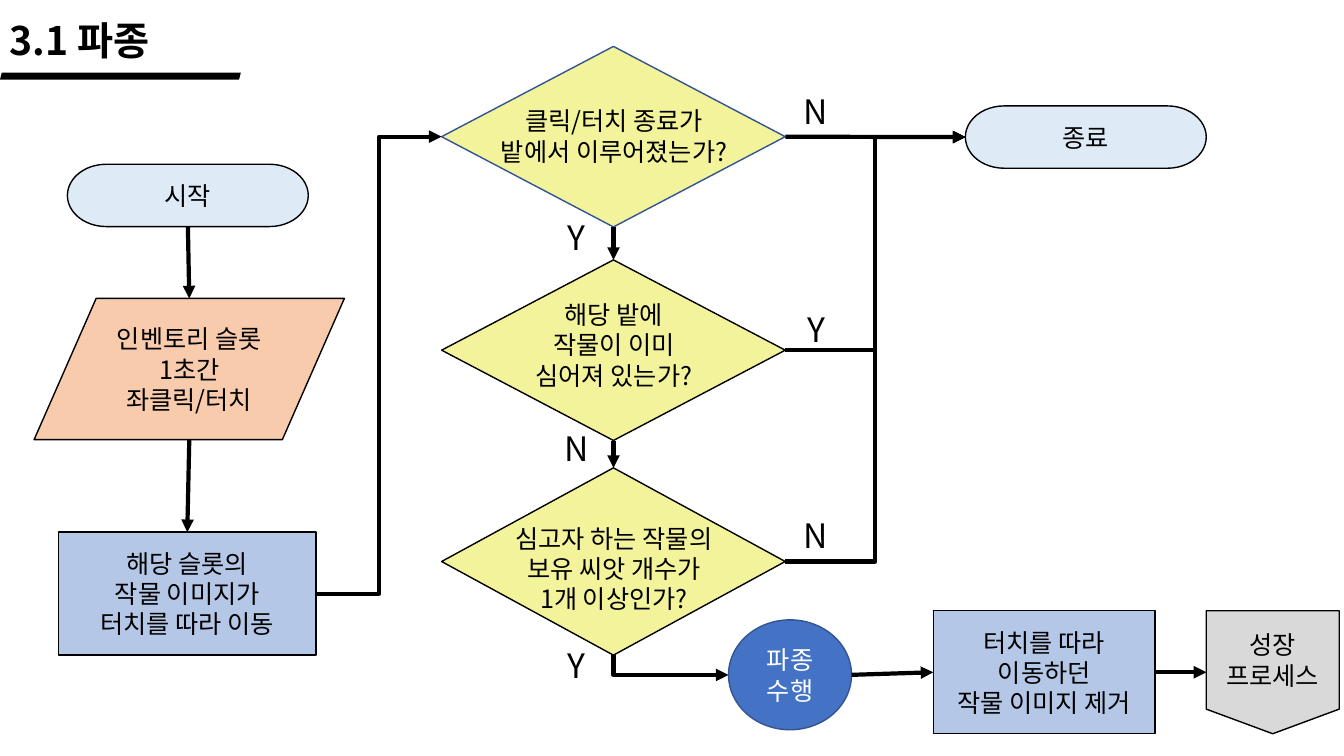
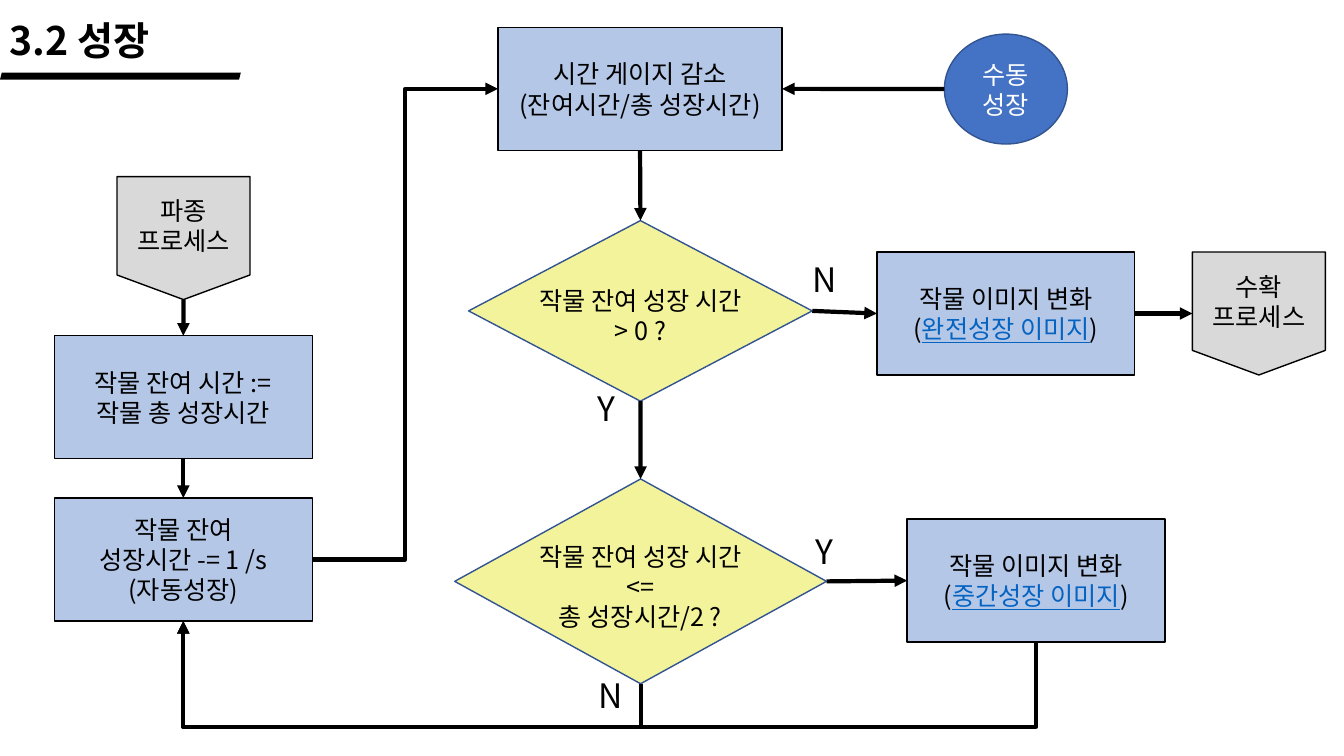
from lxml import etree
from pptx import Presentation
from pptx.dml.color import RGBColor
from pptx.enum.shapes import MSO_CONNECTOR as CXN, MSO_SHAPE as SHAPE
from pptx.enum.text import MSO_ANCHOR as ANCHOR, MSO_AUTO_SIZE as AUTO, PP_ALIGN as ALIGN
from pptx.oxml.ns import qn
from pptx.util import Cm, Pt

FONT = "Noto Sans CJK KR"
COLORS = {
    "black": "000000", "white": "FFFFFF", "navy": "325491", "blue": "4472C4",
    "process": "B4C7E7", "decision": "F3F39B", "terminal": "DEEBF7",
    "input": "F8CBAD", "page": "D9D9D9", "link": "0563C1",
}
# kind: preset, fill, line, text colour, width and height in cm
KINDS = {
    "terminal": (SHAPE.FLOWCHART_TERMINATOR, "terminal", "black", "black", 6.07, 1.57),
    "input": (SHAPE.FLOWCHART_DATA, "input", "black", "black", 7.82, 3.56),
    "process": (SHAPE.RECTANGLE, "process", "black", "black", 6.5, 3.1),
    "decision": (SHAPE.FLOWCHART_DECISION, "decision", "black", "black", 8.66, 4.55),
    "page": (SHAPE.FLOWCHART_OFFPAGE_CONNECTOR, "page", "black", "black", 3.35, 3.1),
    "event": (SHAPE.FLOWCHART_CONNECTOR, "blue", "navy", "white", 3.1, 2.77),
}
# connection site numbers on the top, left, bottom and right
SITES = {"input": (1, 2, 4, 5), "event": (0, 2, 4, 6)}
SIDES = "tlbr"
TITLE = {"size": Pt(28), "bold": True}
BODY = {"size": Pt(18)}
BRANCH = {"size": Pt(24)}
BRANCH_WIDTHS = {"N": 1.17, "Y": 0.99}
LOOP_FLOOR = 18.31

# nodes: name: (kind, left, top, text, changed values)
# captions: (left, top, width, height, text)
# branches: (letter, left, top)
# arrows: (route, from, side, to, side)
SLIDES = [
    {
        "title": "3.1 파종",
        "nodes": {
            "start": ("terminal", 1.7, 4.14, "시작", {}),
            "touch": ("input", 0.86, 7.52, "인벤토리 슬롯\n1초간\n좌클릭/터치", {}),
            "follow": ("process", 1.47, 13.41, "해당 슬롯의\n작물 이미지가\n터치를 따라 이동", {}),
            "in_field": ("decision", 11.13, 1.17, "", {"line": "navy"}),
            "planted": ("decision", 11.13, 6.55, "", {}),
            "has_seed": ("decision", 11.13, 11.79, "", {"height": 4.72}),
            "end": ("terminal", 24.33, 2.67, "종료", {}),
            "sow": ("event", 18.36, 15.62, "파종수행", {}),
            "remove": ("process", 23.52, 15.39, "터치를 따라\n이동하던\n작물 이미지 제거",
                       {"width": 5.59}),
            "growth": ("page", 30.4, 15.39, "성장\n프로세스", {}),
        },
        "captions": [
            (12.07, 2.54, 6.81, 1.8, "클릭/터치 종료가\n밭에서 이루어졌는가?"),
            (13.03, 7.42, 4.88, 2.57, "해당 밭에\n작물이 이미\n심어져 있는가?"),
            (12.42, 13.06, 6.1, 2.57, "심고자 하는 작물의\n보유 씨앗 개수가\n1개 이상인가?"),
        ],
        "branches": [
            ("N", 19.99, 2.16), ("Y", 20.09, 7.67), ("N", 19.99, 12.85),
            ("Y", 14.05, 5.33), ("N", 13.97, 10.67), ("Y", 14.05, 16.13),
        ],
        "arrows": [
            ("straight", "start", "b", "touch", "t"),
            ("straight", "touch", "b", "follow", "t"),
            ("elbow", "follow", "r", "in_field", "l"),
            ("straight", "in_field", "b", "planted", "t"),
            ("straight", "planted", "b", "has_seed", "t"),
            ("straight", "in_field", "r", "end", "l"),
            ("elbow", "planted", "r", "end", "l"),
            ("elbow", "has_seed", "r", "end", "l"),
            ("corner", "has_seed", "b", "sow", "l"),
            ("straight", "sow", "r", "remove", "l"),
            ("straight", "remove", "r", "growth", "l"),
        ],
    },
    {
        "title": "3.2 성장",
        "nodes": {
            "sowing": ("page", 2.95, 4.45, "파종\n프로세스", {}),
            "set_time": ("process", 1.37, 8.46, "작물 잔여 시간 :=\n작물 총 성장시간", {}),
            "tick": ("process", 1.37, 12.55, "작물 잔여\n성장시간 -= 1 /s\n(자동성장)", {}),
            "gauge": ("process", 12.55, 0.69, "시간 게이지 감소\n(잔여시간/총 성장시간)",
                      {"width": 7.16}),
            "manual": ("event", 23.8, 0.86, "수동성장", {}),
            "time_left": ("decision", 11.81, 5.56, "", {"line": "navy"}),
            "half_time": ("decision", 11.46, 12.07, "",
                          {"line": "navy", "width": 9.37, "height": 5.16}),
            "full_image": ("process", 22.1, 6.35, "작물 이미지 변화\n(|완전성장 이미지|)", {}),
            "half_image": ("process", 22.86, 13.08, "작물 이미지 변화\n(|중간성장 이미지|)", {}),
            "harvest": ("page", 30.05, 6.35, "수확\n프로세스", {}),
        },
        "captions": [
            (12.98, 7.06, 6.32, 1.8, "작물 잔여 성장 시간\n> 0 ?"),
            (12.98, 13.51, 6.32, 2.57, "작물 잔여 성장 시간\n<=\n총 성장시간/2 ?"),
        ],
        "branches": [
            ("N", 20.22, 6.4), ("Y", 14.81, 9.65), ("Y", 20.29, 13.26), ("N", 14.83, 16.87),
        ],
        "arrows": [
            ("straight", "sowing", "b", "set_time", "t"),
            ("straight", "set_time", "b", "tick", "t"),
            ("elbow", "tick", "r", "gauge", "l"),
            ("straight", "manual", "l", "gauge", "r"),
            ("straight", "gauge", "b", "time_left", "t"),
            ("straight", "time_left", "r", "full_image", "l"),
            ("straight", "full_image", "r", "harvest", "l"),
            ("straight", "time_left", "b", "half_time", "t"),
            ("straight", "half_time", "r", "half_image", "l"),
            ("loop", "half_image", "b", "tick", "b"),
            ("loop", "half_time", "b", "tick", "b"),
        ],
    },
]


def write(sp, text, fmt, color="black", align=ALIGN.CENTER):
    """Fill sp with one paragraph a line; text between bars looks like a link."""
    tf = sp.text_frame
    for i, line in enumerate(text.split("\n")):
        p = tf.paragraphs[0] if i == 0 else tf.add_paragraph()
        p.alignment = align
        for j, part in enumerate(line.split("|")):
            r = p.add_run()
            r.text = part
            r.font.name = FONT
            for key, value in fmt.items():
                setattr(r.font, key, value)
            is_link = j % 2 == 1
            r.font.color.rgb = RGBColor.from_string(COLORS["link" if is_link else color])
            if is_link:
                r.font.underline = True
            latin = r.font._element.find(qn("a:latin"))
            latin.addnext(etree.Element(qn("a:ea"), typeface=FONT))


def connect(s, route, start, end):
    """Draw an arrow between two (shape, kind, side) ends and glue it to both."""
    points = []
    for sp, _, side in (start, end):
        fx, fy = {"t": (0.5, 0), "l": (0, 0.5), "b": (0.5, 1), "r": (1, 0.5)}[side]
        points += [int(sp.left + sp.width * fx), int(sp.top + sp.height * fy)]
    x1, y1, x2, y2 = points
    c = s.shapes.add_connector(CXN.STRAIGHT if route == "straight" else CXN.ELBOW, *points)
    c.line.width = Pt(3)
    c.line.color.rgb = RGBColor.from_string(COLORS["black"])
    etree.SubElement(c.line._get_or_add_ln(), qn("a:tailEnd"), type="triangle")
    sp_pr = c.element.spPr
    etree.SubElement(sp_pr, qn("a:effectLst"))

    if route in ("corner", "loop"):  # leaves downwards: a quarter turn about the middle
        w, h = abs(y2 - y1), abs(x2 - x1)
        c.left, c.top = (x1 + x2 - w) // 2, (y1 + y2 - h) // 2
        c.width, c.height = w, h
        xfrm = sp_pr.find(qn("a:xfrm"))
        xfrm.set("rot", "5400000")
        xfrm.set("flipH", str(int(y2 < y1)))
        xfrm.set("flipV", str(int(x2 > x1)))
        geom = sp_pr.find(qn("a:prstGeom"))
        if route == "corner":
            geom.set("prst", "bentConnector2")
        else:
            bend = round(100000 * (Cm(LOOP_FLOOR) - y1) / (y2 - y1))
            etree.SubElement(geom.find(qn("a:avLst")), qn("a:gd"), name="adj1", fmla=f"val {bend}")

    glue = c.element.find(".//" + qn("p:cNvCxnSpPr"))
    for tag, (sp, kind, side) in (("a:stCxn", start), ("a:endCxn", end)):
        site = SITES.get(kind, range(4))[SIDES.index(side)]
        etree.SubElement(glue, qn(tag), id=str(sp.shape_id), idx=str(site))


prs = Presentation()
prs.slide_width, prs.slide_height = Cm(33.87), Cm(19.05)

for page in SLIDES:
    s = prs.slides.add_slide(prs.slide_layouts[6])

    title = s.shapes.add_textbox(Cm(0), Cm(0.28), Cm(6.48), Cm(1.45))
    title.text_frame.word_wrap = True
    write(title, page["title"], TITLE, align=ALIGN.LEFT)
    bar = s.shapes.add_shape(SHAPE.PARALLELOGRAM, Cm(0), Cm(1.83), Cm(6.07), Cm(0.18))
    bar.shadow.inherit = False
    bar.fill.solid()
    bar.fill.fore_color.rgb = RGBColor.from_string(COLORS["black"])
    bar.line.fill.background()

    nodes = {}
    for name, (kind, left, top, text, changes) in page["nodes"].items():
        preset, fill, line, color, width, height = KINDS[kind]
        size = changes.get("width", width), changes.get("height", height)
        sp = s.shapes.add_shape(preset, *map(Cm, (left, top, *size)))
        sp.shadow.inherit = False
        sp.fill.solid()
        sp.fill.fore_color.rgb = RGBColor.from_string(COLORS[fill])
        sp.line.color.rgb = RGBColor.from_string(COLORS[changes.get("line", line)])
        sp.line.width = Pt(1)
        sp.text_frame.word_wrap = True
        sp.text_frame.vertical_anchor = ANCHOR.MIDDLE
        if text:
            write(sp, text, BODY, color)
        nodes[name] = sp, kind

    for route, start, start_side, end, end_side in page["arrows"]:
        connect(s, route, (*nodes[start], start_side), (*nodes[end], end_side))

    labels = [(*caption, BODY, ALIGN.CENTER) for caption in page["captions"]]
    labels += [(left, top, BRANCH_WIDTHS[letter], 1.27, letter, BRANCH, ALIGN.LEFT)
               for letter, left, top in page["branches"]]
    for *box, text, fmt, align in labels:
        label = s.shapes.add_textbox(*map(Cm, box))
        label.text_frame.word_wrap = False
        label.text_frame.auto_size = AUTO.SHAPE_TO_FIT_TEXT
        write(label, text, fmt, align=align)

prs.save("out.pptx")
